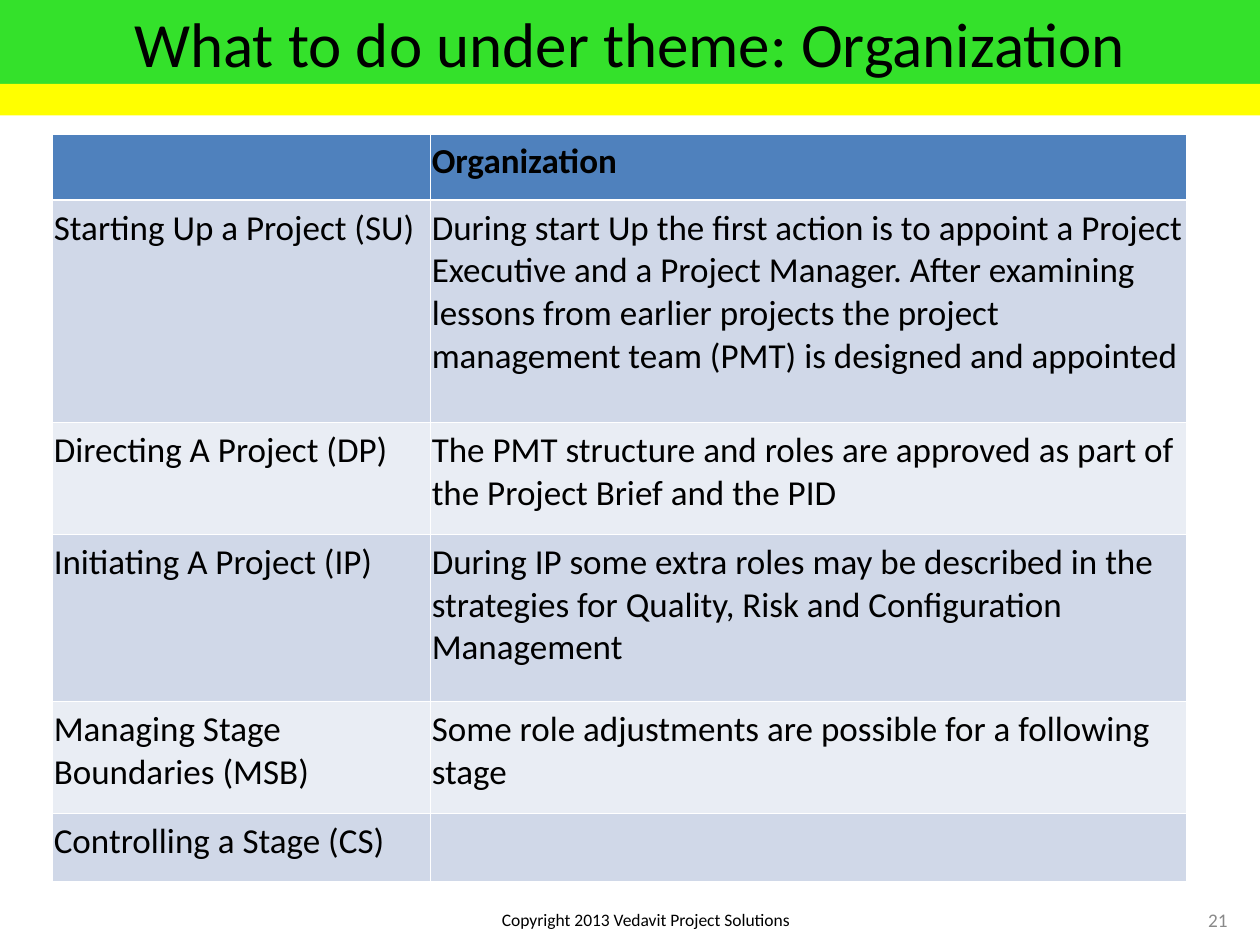
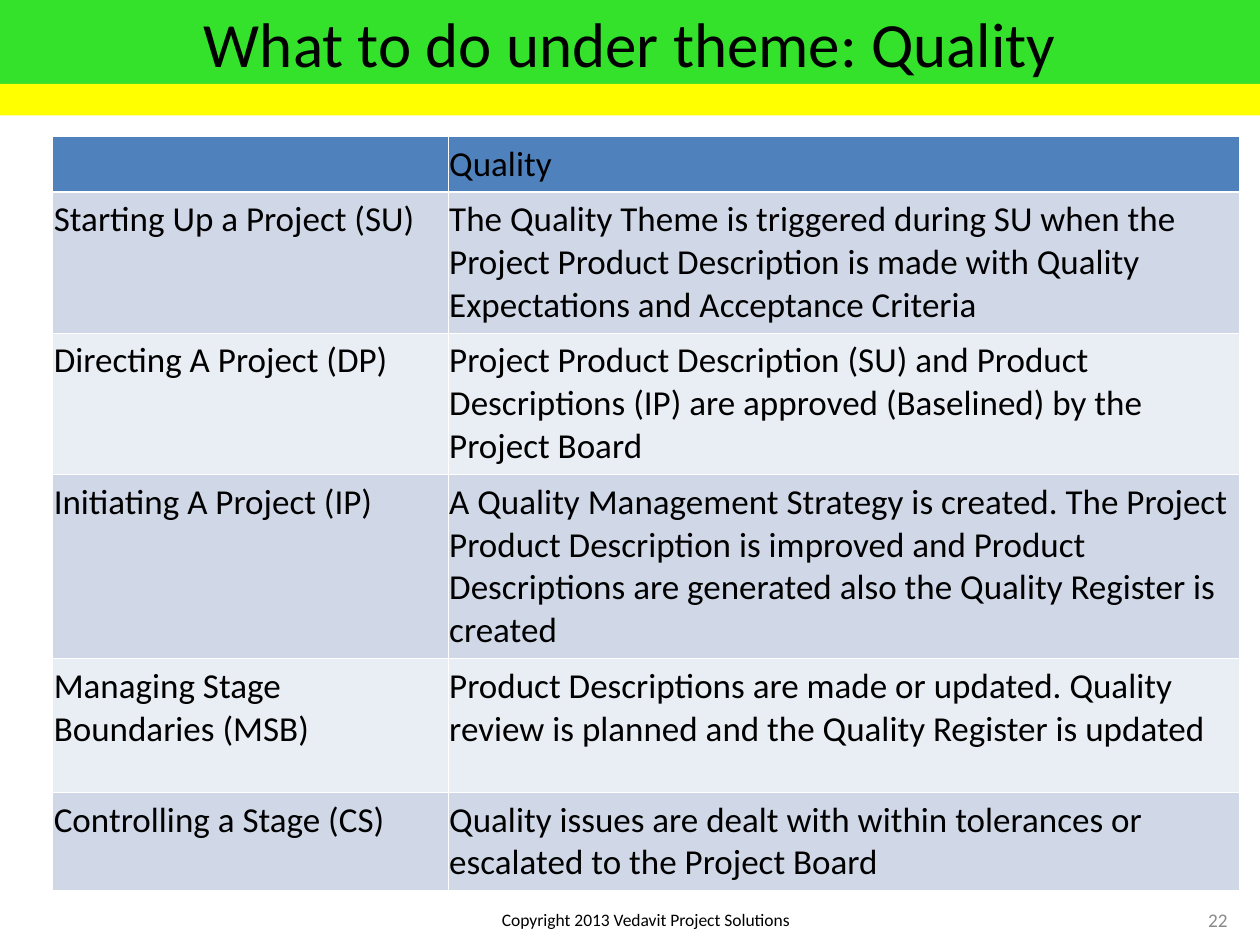
from lxml.etree import SubElement
from pptx import Presentation
from pptx.dml.color import RGBColor
from pptx.enum.shapes import MSO_SHAPE as SHAPE
from pptx.enum.text import MSO_ANCHOR as ANCHOR, MSO_AUTO_SIZE as AUTO, PP_ALIGN as ALIGN
from pptx.oxml.ns import qn
from pptx.util import Pt

FONT = "Calibri"
BLACK = RGBColor(0x00, 0x00, 0x00)
WHITE = RGBColor(0xFF, 0xFF, 0xFF)
GREY = RGBColor(0x89, 0x89, 0x89)
GREEN = RGBColor(0x34, 0xE1, 0x2B)
YELLOW = RGBColor(0xFF, 0xFF, 0x00)
HEADER = RGBColor(0x4F, 0x81, 0xBD)
BANDS = RGBColor(0xE9, 0xED, 0xF4), RGBColor(0xD0, 0xD8, 0xE8)

WIDTH, HEIGHT = 720, 540
TITLE_H, STRIPE_H = 48, 18
TABLE_LEFT = 30
THIN, THICK = 0.45, 1.47
FIRST_PAGE = 21
FOOTER = "Copyright 2013 Vedavit Project Solutions"

PROCESSES = [
    "Starting Up a Project (SU)",
    "Directing A Project (DP)",
    "Initiating A Project (IP)",
    "Managing Stage Boundaries (MSB)",
    "Controlling a Stage (CS)",
]

THEMES = [
    {
        "name": "Organization",
        "bold": True,
        "top": 76.5,
        "width": 648,
        "rows": [38, 127, 64, 95.5, 64, 38.5],
        "actions": [
            "During start Up the first action is to appoint a Project Executive and a Project "
            "Manager. After examining lessons from earlier projects the project management "
            "team (PMT) is designed and appointed",
            "The PMT structure and roles are approved as part of the Project Brief and the PID",
            "During IP some extra roles may be described in the strategies for Quality, Risk "
            "and Configuration Management",
            "Some role adjustments are possible for a following stage",
            "",
        ],
    },
    {
        "name": "Quality",
        "bold": False,
        "top": 78,
        "width": 678,
        "rows": [31, 76.5, 76.5, 102, 76.5, 51],
        "actions": [
            "The Quality Theme is triggered during SU when the Project Product Description "
            "is made with Quality Expectations and Acceptance Criteria",
            "Project Product Description (SU) and Product Descriptions (IP) are approved "
            "(Baselined) by the Project Board",
            "A Quality Management Strategy is created. The Project Product Description is "
            "improved and Product Descriptions are generated also the Quality Register is created",
            "Product Descriptions are made or updated. Quality review is planned and the "
            "Quality Register is updated",
            "Quality issues are dealt with within tolerances or escalated to the Project Board",
        ],
    },
]


def place(sp, left, top, width, height):
    sp.left, sp.top, sp.width, sp.height = Pt(left), Pt(top), Pt(width), Pt(height)


def write(tf, text, size, color=BLACK, bold=False, align=ALIGN.LEFT):
    p = tf.paragraphs[0]
    p.alignment = align
    r = p.add_run()
    r.text = text
    r.font.name, r.font.size, r.font.bold = FONT, Pt(size), bold
    r.font.color.rgb = color


def add_title(s, text):
    sp = s.shapes.title
    place(sp, 0, 0, WIDTH, TITLE_H)
    sp.fill.solid()
    sp.fill.fore_color.rgb = GREEN
    tf = sp.text_frame
    tf.auto_size, tf.vertical_anchor = AUTO.NONE, ANCHOR.MIDDLE
    write(tf, text, 36, align=ALIGN.CENTER)


def add_stripe(s):
    sp = s.shapes.add_shape(SHAPE.RECTANGLE, 0, Pt(TITLE_H), Pt(WIDTH), Pt(STRIPE_H))
    sp.shadow.inherit = False
    sp.fill.solid()
    sp.fill.fore_color.rgb = YELLOW
    sp.line.fill.background()


def add_label(s, box, text, size, color, anchor):
    tf = s.shapes.add_textbox(*map(Pt, box)).text_frame
    tf.word_wrap, tf.vertical_anchor = True, anchor
    write(tf, text, size, color, align=ALIGN.CENTER)


def set_borders(cell, row):
    tcPr = cell._tc.get_or_add_tcPr()
    widths = {
        "a:lnL": THIN,
        "a:lnR": THIN,
        "a:lnT": THICK if row == 1 else THIN,
        "a:lnB": THICK if row == 0 else THIN,
    }
    for tag, width in widths.items():
        ln = SubElement(tcPr, qn(tag), w=str(Pt(width)))
        SubElement(SubElement(ln, qn("a:solidFill")), qn("a:srgbClr"), val=str(WHITE))


def add_theme_table(s, theme):
    rows = [("", theme["name"]), *zip(PROCESSES, theme["actions"])]
    width, heights = theme["width"], theme["rows"]
    table = s.shapes.add_table(len(rows), 2, Pt(TABLE_LEFT), Pt(theme["top"]),
                               Pt(width), Pt(sum(heights))).table
    table.columns[0].width = Pt(width / 3)
    table.columns[1].width = Pt(width * 2 / 3)
    for i, (texts, height) in enumerate(zip(rows, heights)):
        table.rows[i].height = Pt(height)
        for j, text in enumerate(texts):
            cell = table.cell(i, j)
            set_borders(cell, i)
            cell.fill.solid()
            cell.fill.fore_color.rgb = BANDS[i % 2] if i else HEADER
            cell.margin_left = cell.margin_right = Pt(0.75)
            if text:
                write(cell.text_frame, text, 20, bold=i == 0 and theme["bold"])


def main():
    prs = Presentation()
    prs.slide_width, prs.slide_height = Pt(WIDTH), Pt(HEIGHT)
    for page, theme in enumerate(THEMES, FIRST_PAGE):
        s = prs.slides.add_slide(prs.slide_layouts[5])
        add_title(s, f"What to do under theme: {theme['name']}")
        add_theme_table(s, theme)
        add_stripe(s)
        add_label(s, (264, 516, 210, 18), FOOTER, 10, BLACK, ANCHOR.TOP)
        add_label(s, (672, 511, 48, 29), str(page), 11, GREY, ANCHOR.MIDDLE)
    prs.save("out.pptx")


if __name__ == "__main__":
    main()
